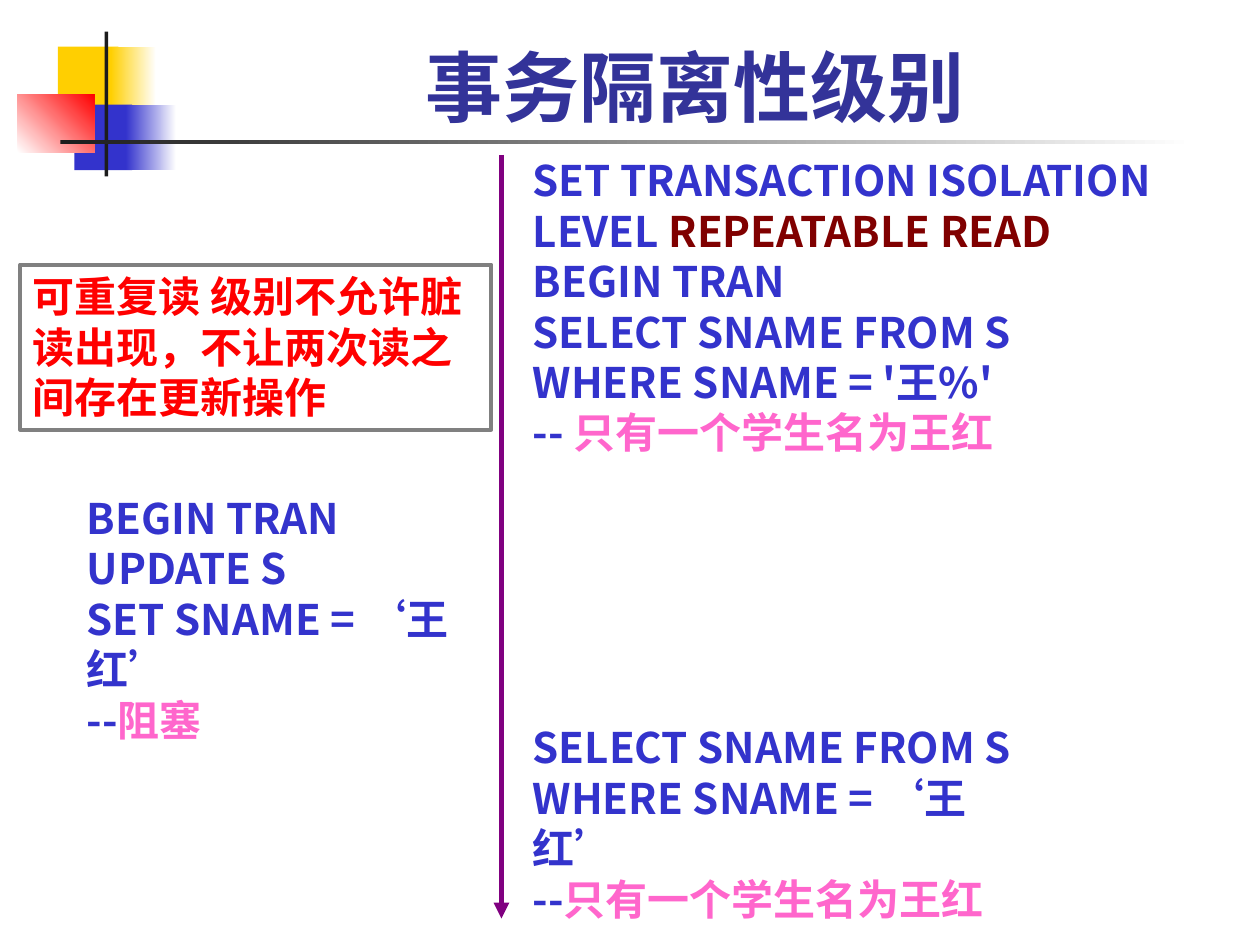
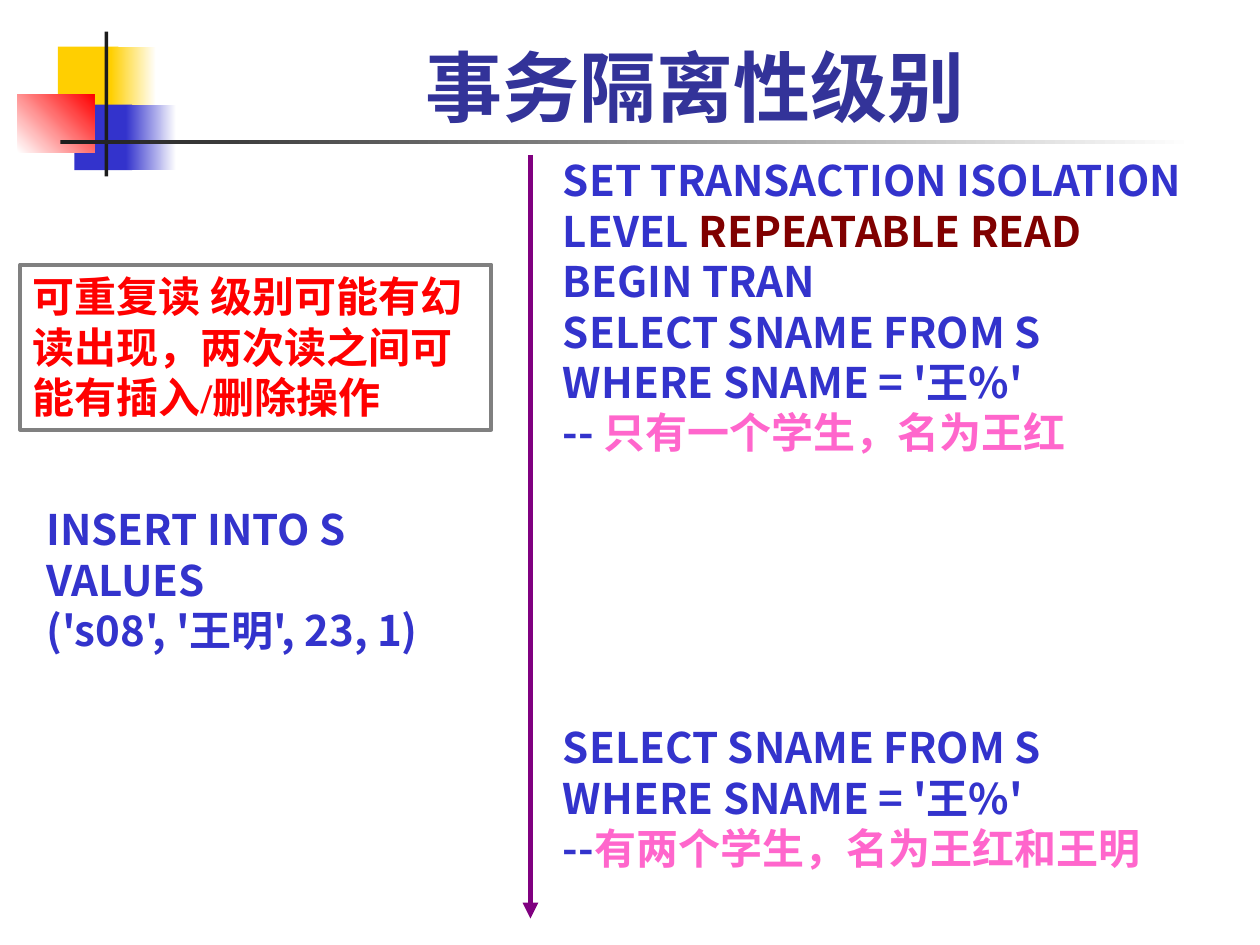
from lxml.etree import SubElement
from pptx import Presentation
from pptx.dml.color import RGBColor
from pptx.enum.shapes import MSO_CONNECTOR, MSO_SHAPE
from pptx.enum.text import MSO_ANCHOR as ANCHOR, MSO_AUTO_SIZE as AUTO, PP_ALIGN as ALIGN
from pptx.oxml.ns import qn
from pptx.util import Pt

PX = 9144
YELLOW = RGBColor(0xFF, 0xCF, 0x01)
BLUE = RGBColor(0x33, 0x33, 0xCC)
NAVY = RGBColor(0x33, 0x33, 0x99)
RED = RGBColor(0xFF, 0, 0)
INK = RGBColor(0x1C, 0x1C, 0x1C)
WHITE = RGBColor(0xFF, 0xFF, 0xFF)
MAROON = RGBColor(0x80, 0, 0)
PINK = RGBColor(0xFF, 0x66, 0xCC)
PURPLE = RGBColor(0x80, 0, 0x80)
GRAY = RGBColor(0x80, 0x80, 0x80)
CJK, SERIF, TITLE_FONT = "Noto Sans CJK SC", "Times New Roman", "Roboto"


def write(frame, lines, size=24, font=CJK, color=BLUE, align=ALIGN.LEFT,
          anchor=ANCHOR.TOP, grow=True):
    frame.word_wrap = True
    frame.auto_size = AUTO.SHAPE_TO_FIT_TEXT if grow else AUTO.NONE
    frame.vertical_anchor = anchor
    for index, line in enumerate(lines):
        paragraph = frame.paragraphs[0] if index == 0 else frame.add_paragraph()
        paragraph.alignment = align
        for part in [line] if isinstance(line, str) else line:
            words, style = (part, {}) if isinstance(part, str) else part
            run = paragraph.add_run()
            run.text = words
            run.font.size = Pt(size)
            run.font.bold = True
            run.font.name = style.get("font", font)
            run.font.color.rgb = style.get("color", color)
            SubElement(run.font._element, qn("a:ea"), typeface=CJK)


class Deck:
    def __init__(self, width, height):
        self.prs = Presentation()
        self.prs.slide_width, self.prs.slide_height = width * PX, height * PX
        self.slide = None

    def add_slide(self, heading):
        self.slide = self.prs.slides.add_slide(self.prs.slide_layouts[6])
        self.rect(46, 37, 48, 52, YELLOW)
        self.rect(88, 37, 36, 52, YELLOW, WHITE)
        self.rect(59, 83, 46, 52, BLUE)
        self.rect(100, 83, 40, 52, BLUE, WHITE)
        self.rect(14, 75, 61, 46, WHITE, RED, angle=45)
        self.rect(83, 25, 3, 115, INK)
        self.rect(48, 111, 900, 3, INK, WHITE)
        self.text(126, 17, 852, 93, [heading], size=44, font=TITLE_FONT, color=NAVY,
                  align=ALIGN.CENTER, anchor=ANCHOR.BOTTOM, grow=False)

    def rect(self, left, top, width, height, start=None, end=None, angle=0):
        box = self.slide.shapes.add_shape(
            MSO_SHAPE.RECTANGLE, left * PX, top * PX, width * PX, height * PX)
        box.shadow.inherit = False
        box.line.fill.background()
        if start is None:
            box.fill.background()
        elif end is None:
            box.fill.solid()
            box.fill.fore_color.rgb = start
        else:
            box.fill.gradient()
            box.fill.gradient_angle = angle
            for stop, color in zip(box.fill.gradient_stops, (start, end)):
                stop.color.rgb = color
        return box

    def text(self, left, top, width, height, lines, **style):
        box = self.slide.shapes.add_textbox(left * PX, top * PX, width * PX, height * PX)
        write(box.text_frame, lines, **style)

    def note(self, words):
        box = self.rect(16, 210, 374, 131)
        box.line.color.rgb = GRAY
        box.line.width = Pt(2.25)
        write(box.text_frame, [words], font=SERIF, color=RED)

    def time_arrow(self, x):
        arrow = self.slide.shapes.add_connector(
            MSO_CONNECTOR.STRAIGHT, x * PX, 123 * PX, x * PX, 729 * PX)
        arrow.line.color.rgb = PURPLE
        arrow.line.width = Pt(3)
        SubElement(arrow.line._get_or_add_ln(), qn("a:tailEnd"), type="triangle")
        SubElement(arrow._element.spPr, qn("a:effectLst"))


def result(words):
    return words, {"color": PINK}


def quoted(clause):
    return [clause, ("‘", {"font": SERIF}), "王红", ("’", {"font": SERIF})]


def first_read(found):
    return [["SET TRANSACTION ISOLATION LEVEL ", ("REPEATABLE READ", {"color": MAROON})],
            "BEGIN TRAN", SELECT, WHERE_LIKE, ["-- ", result(found)]]


HEADING = "事务隔离性级别"
SELECT = "SELECT SNAME FROM S"
WHERE_LIKE = "WHERE SNAME = '王%'"


def main():
    deck = Deck(1000, 750)

    deck.add_slide(HEADING)
    deck.text(413, 118, 559, 250, first_read("只有一个学生名为王红"))
    deck.text(59, 386, 323, 170, [
        "BEGIN TRAN", "UPDATE S", quoted("SET SNAME = "), ["--", result("阻塞")]])
    deck.text(413, 568, 425, 130, [
        SELECT, quoted("WHERE SNAME = "), ["--", result("只有一个学生名为王红")]])
    deck.time_arrow(398)
    deck.note("可重复读 级别不允许脏读出现，不让两次读之间存在更新操作")

    deck.add_slide(HEADING)
    deck.text(437, 118, 543, 250, first_read("只有一个学生，名为王红"))
    deck.text(27, 395, 382, 90, ["INSERT INTO S VALUES", "('s08', '王明', 23, 1)"])
    deck.text(437, 568, 504, 130, [
        SELECT, WHERE_LIKE, ["--", result("有两个学生，名为王红和王明")]])
    deck.time_arrow(421)
    deck.note("可重复读 级别可能有幻读出现，两次读之间可能有插入/删除操作")

    deck.prs.save("out.pptx")


if __name__ == "__main__":
    main()
